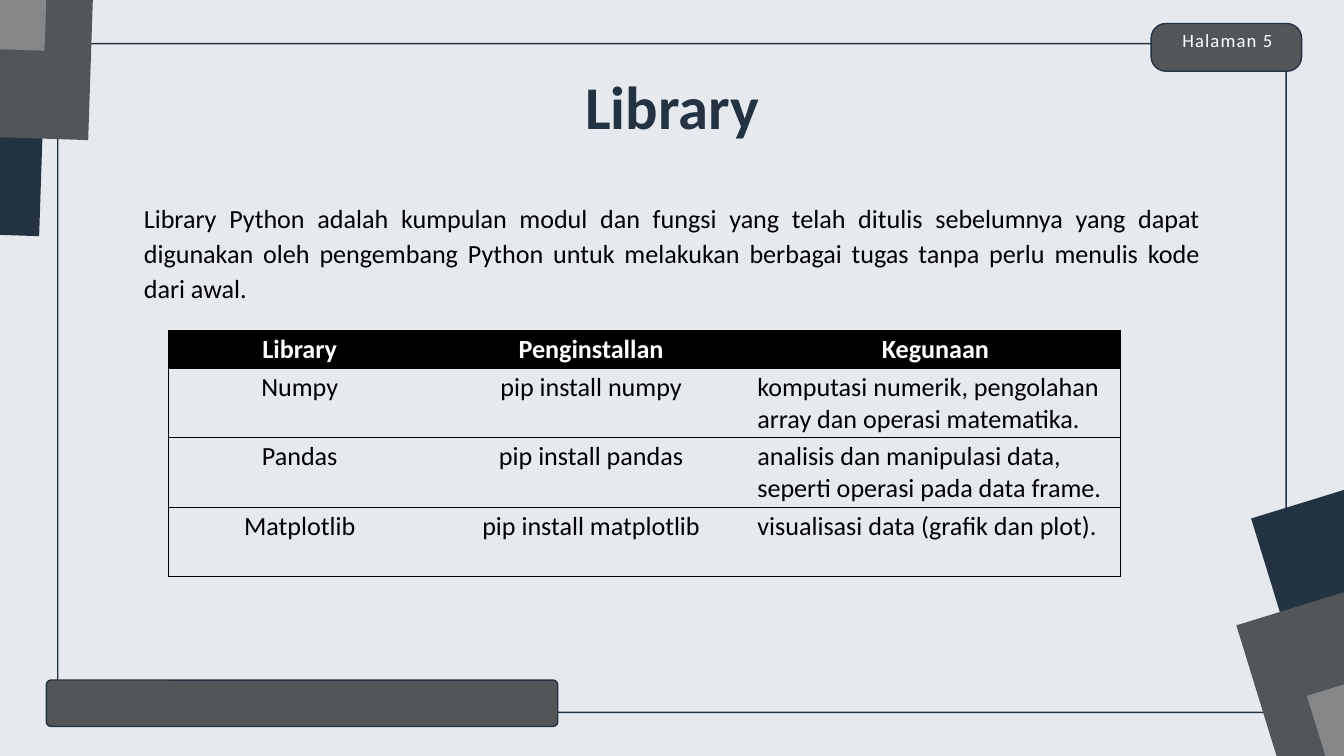
from lxml import etree
from pptx import Presentation
from pptx.dml.color import RGBColor
from pptx.enum import shapes, text
from pptx.oxml.ns import qn
from pptx.util import Inches, Pt

PAPER = RGBColor(0xE6, 0xEA, 0xEF)
NAVY = RGBColor(0x24, 0x33, 0x42)
SLATE = RGBColor(0x53, 0x56, 0x59)
GRAY = RGBColor(0x85, 0x87, 0x89)
BLACK = RGBColor(0, 0, 0)
WHITE = RGBColor(0xFF, 0xFF, 0xFF)
FONT = "Calibri"

CENTER = text.PP_ALIGN.CENTER
LEFT = text.PP_ALIGN.LEFT
JUSTIFY = text.PP_ALIGN.JUSTIFY

SQUARE_SIZE = (6.07, 6.1)
# rotation, then the left and top of each square from back to front
CORNERS = [
    (271.9, [(-5.4, -2.67), (-4.67, -4.1), (-5.32, -5.43)]),
    (72.9, [(19.39, 6.67), (19.17, 8.26), (20.22, 9.31)]),
]
COLUMN_WIDTHS = [3.92, 4.75, 5.5]
HEADER_HEIGHT, ROW_HEIGHT = 0.57, 1.03
LIBRARIES = [
    ("Library", "Penginstallan", "Kegunaan"),
    ("Numpy", "pip install numpy",
     "komputasi numerik, pengolahan array dan operasi matematika."),
    ("Pandas", "pip install pandas",
     "analisis dan manipulasi data, seperti operasi pada data frame."),
    ("Matplotlib", "pip install matplotlib",
     "visualisasi data (grafik dan plot)."),
]


def write(frame, words, size=28, color=BLACK, bold=False, align=LEFT,
          line_spacing=None, tracking=None):
    """Put one formatted paragraph into a text frame."""
    paragraph = frame.paragraphs[0]
    paragraph.alignment = align
    if line_spacing:
        paragraph.line_spacing = Pt(line_spacing)
    run = paragraph.add_run()
    run.text = words
    run.font.name = FONT
    run.font.size = Pt(size)
    run.font.bold = bold
    run.font.color.rgb = color
    if tracking:
        run.font._element.set("spc", str(round(tracking * 100)))


def add_label(slide, box, words, **style):
    frame = slide.shapes.add_textbox(*map(Inches, box)).text_frame
    frame.margin_left = frame.margin_right = 0
    frame.margin_top = frame.margin_bottom = 0
    frame.word_wrap = True
    frame.auto_size = text.MSO_AUTO_SIZE.SHAPE_TO_FIT_TEXT
    write(frame, words, **style)


def add_panel(slide, box, fill, radius):
    """Add an outlined rounded rectangle; the radius is in inches."""
    panel = slide.shapes.add_shape(
        shapes.MSO_SHAPE.ROUNDED_RECTANGLE, *map(Inches, box))
    panel.adjustments[0] = radius / min(box[2:])
    panel.shadow.inherit = False
    panel.fill.solid()
    panel.fill.fore_color.rgb = fill
    panel.line.color.rgb = NAVY
    panel.line.width = Pt(1.5)


def add_corner(slide, rotation, places):
    for place, color in zip(places, (NAVY, SLATE, GRAY)):
        square = slide.shapes.add_shape(
            shapes.MSO_SHAPE.RECTANGLE, *map(Inches, place + SQUARE_SIZE))
        square.rotation = rotation
        square.shadow.inherit = False
        square.fill.solid()
        square.fill.fore_color.rgb = color
        square.line.fill.background()


def set_borders(cell, visible):
    """Draw the sides named in visible (of L, R, T, B) and clear the others."""
    properties = cell._tc.get_or_add_tcPr()
    for side in "LRTB":
        line = etree.SubElement(properties, qn(f"a:ln{side}"), w=str(Pt(0.75)))
        if side in visible:
            fill = etree.SubElement(line, qn("a:solidFill"))
            etree.SubElement(fill, qn("a:srgbClr"), val=str(BLACK))
        else:
            etree.SubElement(line, qn("a:noFill"))


def add_library_table(slide):
    heights = [HEADER_HEIGHT] + [ROW_HEIGHT] * (len(LIBRARIES) - 1)
    box = (2.5, 4.91, sum(COLUMN_WIDTHS), sum(heights))
    table = slide.shapes.add_table(
        len(heights), len(COLUMN_WIDTHS), *map(Inches, box)).table
    table.first_row = table.horz_banding = False
    for column, width in zip(table.columns, COLUMN_WIDTHS):
        column.width = Inches(width)
    last = len(COLUMN_WIDTHS) - 1
    for r, entries in enumerate(LIBRARIES):
        table.rows[r].height = Inches(heights[r])
        header = r == 0
        for c, words in enumerate(entries):
            cell = table.cell(r, c)
            set_borders(cell, "TB" + {0: "L", last: "R"}.get(c, ""))
            if header:
                cell.fill.solid()
                cell.fill.fore_color.rgb = BLACK
            else:
                cell.fill.background()
            write(cell.text_frame, words, bold=header,
                  color=WHITE if header else BLACK,
                  align=CENTER if header or c < last else LEFT)


def main():
    deck = Presentation()
    deck.slide_width, deck.slide_height = Inches(20), Inches(11.25)
    slide = deck.slides.add_slide(deck.slide_layouts[6])
    slide.background.fill.solid()
    slide.background.fill.fore_color.rgb = PAPER

    add_panel(slide, (0.86, 0.65, 18.28, 9.95), PAPER, radius=0.1)
    for rotation, places in CORNERS:
        add_corner(slide, rotation, places)

    add_label(slide, (4.7, 1.27, 10.61, 0.84), "Library", size=65, color=NAVY,
              bold=True, align=CENTER, line_spacing=59.8)
    add_label(slide, (2.14, 2.95, 15.71, 1.57),
              "Library Python adalah kumpulan modul dan fungsi yang telah "
              "ditulis sebelumnya yang dapat digunakan oleh pengembang Python "
              "untuk melakukan berbagai tugas tanpa perlu menulis kode dari "
              "awal.", align=JUSTIFY, line_spacing=37.8)

    add_panel(slide, (17.13, 0.35, 2.24, 0.71), SLATE, radius=0.22)
    add_label(slide, (17.08, 0.38, 2.37, 0.49), "Halaman 5", size=20,
              color=WHITE, align=CENTER, line_spacing=28, tracking=1.2)
    add_panel(slide, (0.69, 10.12, 7.61, 0.69), SLATE, radius=0.07)
    add_library_table(slide)

    deck.save("out.pptx")


if __name__ == "__main__":
    main()
